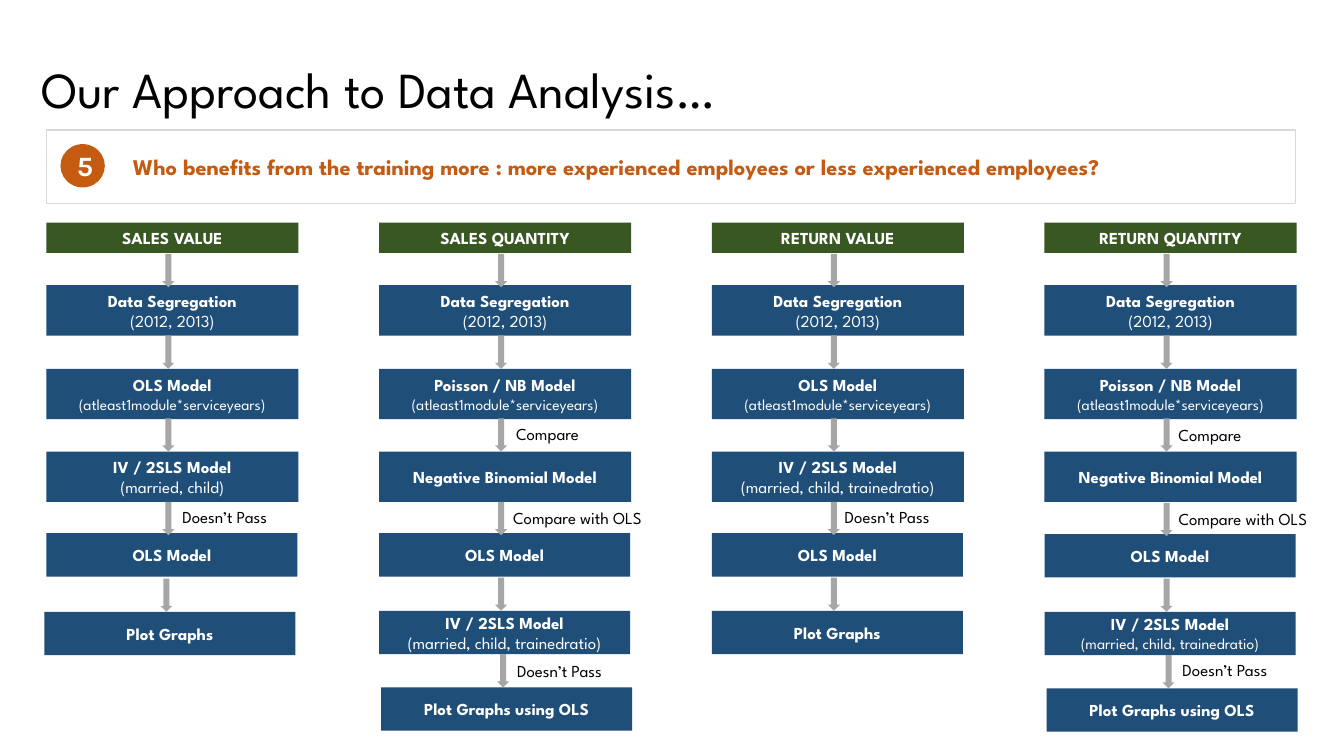
from pptx import Presentation, util as u
from pptx.dml.color import RGBColor
from pptx.enum import shapes, text

SPARTAN = "League Spartan"
MS = shapes.MSO_SHAPE

prs = Presentation()
prs.slide_width, prs.slide_height = u.Inches(13.33), u.Inches(7.5)
s = prs.slides.add_slide(prs.slide_layouts[6])


def write(sp, lines, color, align=text.PP_ALIGN.LEFT, font=SPARTAN, anchor=text.MSO_ANCHOR.MIDDLE):
    tf = sp.text_frame
    tf.word_wrap = True
    tf.vertical_anchor = anchor
    tf.text = "\n".join(line for line, size, bold in lines)
    for p, (line, size, bold) in zip(tf.paragraphs, lines):
        p.alignment = align
        f = p.runs[0].font
        f.name, f.size, f.bold = font, u.Pt(size), bold
        f.color.rgb = RGBColor.from_string(color)


def add_box(kind, x, y, w, h, fill, lines=(), font=SPARTAN):
    sp = s.shapes.add_shape(kind, u.Inches(x), u.Inches(y), u.Inches(w), u.Inches(h))
    sp.shadow.inherit = False
    sp.line.fill.background()
    if fill:
        sp.fill.solid()
        sp.fill.fore_color.rgb = RGBColor.from_string(fill)
    else:
        sp.fill.background()
    if lines:
        write(sp, lines, "FFFFFF", text.PP_ALIGN.CENTER, font)
    return sp


title = s.shapes.add_textbox(u.Inches(0.31), u.Inches(0.19), u.Inches(11.5), u.Inches(1.45))
write(title, [("Our Approach to Data Analysis…", 36, False)], "000000")
title.text_frame.paragraphs[0].line_spacing = 0.9

panel = add_box(MS.RECTANGLE, 0.46, 1.29, 12.39, 0.73, None)
panel.line.color.rgb = RGBColor.from_string("D9D9D9")
panel.line.width = u.Pt(1)
add_box(MS.OVAL, 0.6, 1.43, 0.44, 0.43, "C55A11", [("5", 20, True)], "Karla")
question = s.shapes.add_textbox(u.Inches(1.22), u.Inches(1.43), u.Inches(11.41), u.Inches(0.44))
write(question, [("Who benefits from the training more : more experienced employees or less experienced employees?", 16, True)], "C55A11")

segregation = ("Data Segregation", "(2012, 2013)", 12)
interaction = "(atleast1module*serviceyears)"
ols = ("OLS Model", interaction, 11)
poisson = ("Poisson / NB Model", interaction, 11)
binomial = ("Negative Binomial Model",)
plain_ols = ("OLS Model",)
plot = ("Plot Graphs",)
plot_ols = ("Plot Graphs using OLS",)
iv = "IV / 2SLS Model"
ratio = "(married, child, trainedratio)"

flows = [
    ("SALES VALUE", -0.02, [segregation, ols, (iv, "(married, child)", 12), plain_ols, plot]),
    ("SALES QUANTITY", 0.02, [segregation, poisson, binomial, plain_ols, (iv, ratio, 12), plot_ols]),
    ("RETURN VALUE", 0, [segregation, ols, (iv, ratio, 12), plain_ols, plot]),
    ("RETURN QUANTITY", 0.02, [segregation, poisson, binomial, plain_ols, (iv, ratio, 11), plot_ols]),
]
tops = [2.83, 3.66, 4.48, 5.29, 6.06, 6.82]
arrow_tops = [2.52, 3.33, 4.15, 4.98, 5.73, 6.49]

for col, (heading, last_shift, steps) in enumerate(flows):
    x = 0.46 + 3.3 * col
    add_box(MS.RECTANGLE, x, 2.21, 2.5, 0.3, "385723", [(heading, 12, True)])
    arrows = []
    for row, step in enumerate(steps):
        dx = last_shift if row == len(steps) - 1 else 0
        dy = 0.01 if (col == 3 and row > 2) or (col == 0 and row == 4) else 0
        w, h = (2.5, 0.5) if row < 3 else (2.49, 0.43)
        lines = [(step[0], 12, True)]
        if len(step) > 1:
            lines.append((step[1], step[2], False))
        add_box(MS.RECTANGLE, x + dx, tops[row] + dy, w, h, "1F4E79", lines)
        arrows.append((x + 1.15 + dx, arrow_tops[row] + dy))
    for arrow_x, arrow_y in arrows:
        add_box(MS.DOWN_ARROW, arrow_x, arrow_y, 0.12, 0.33, "A6A6A6")

labels = [
    ("Compare", 5.02, 4.15, 1.23),
    ("Compare", 11.59, 4.16, 1.23),
    ("Doesn’t Pass", 1.71, 4.98, 1.23),
    ("Compare with OLS", 4.99, 4.99, 1.78),
    ("Doesn’t Pass", 8.28, 4.98, 1.23),
    ("Compare with OLS", 11.59, 5, 1.78),
    ("Doesn’t Pass", 5.03, 6.51, 1.23),
    ("Doesn’t Pass", 11.63, 6.5, 1.23),
]
for label, x, y, w in labels:
    tb = s.shapes.add_textbox(u.Inches(x), u.Inches(y), u.Inches(w), u.Inches(0.3))
    write(tb, [(label, 12, False)], "000000", anchor=text.MSO_ANCHOR.TOP)

prs.save("out.pptx")
